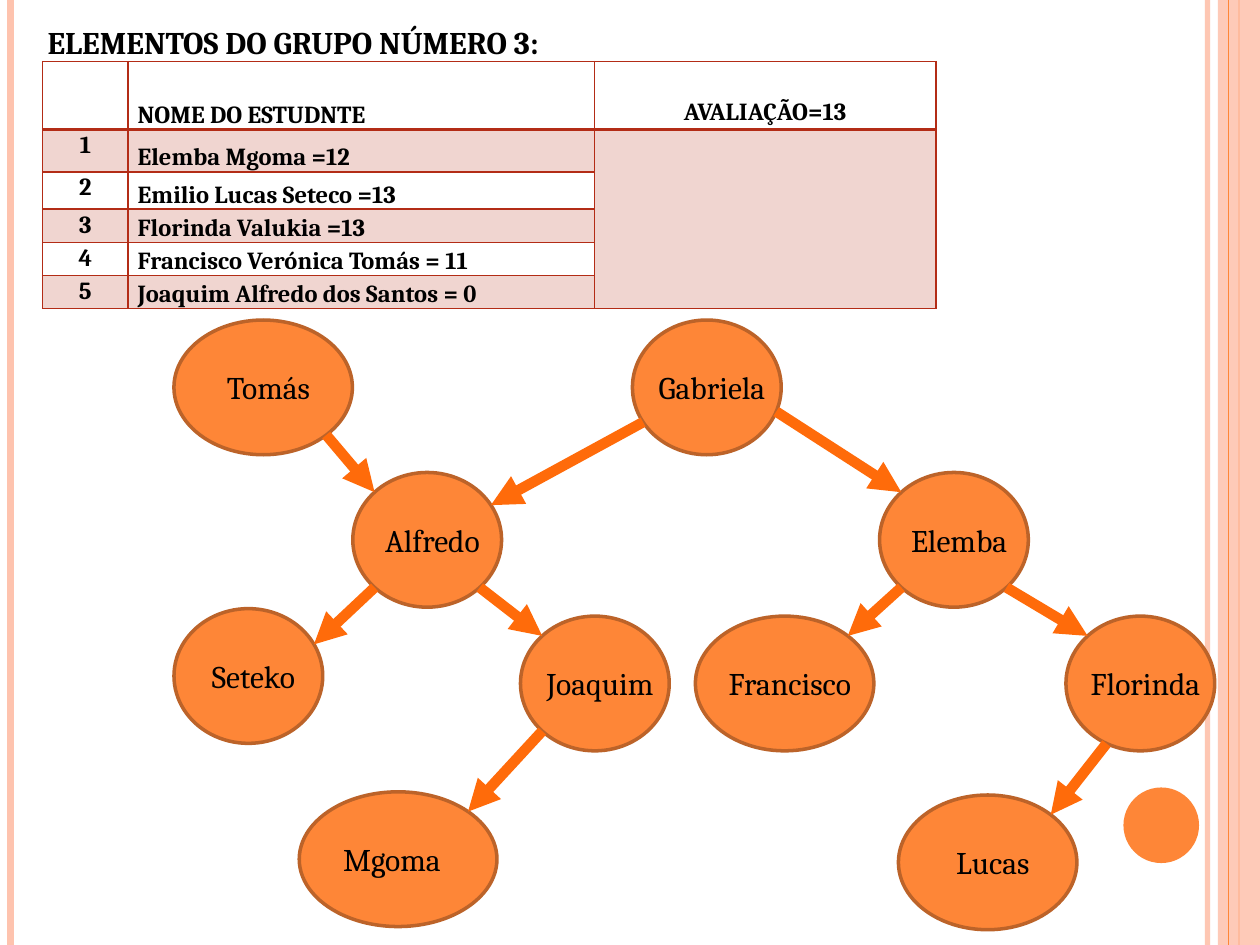
from math import cos, radians, sin

from lxml import etree
from pptx import Presentation
from pptx.dml.color import RGBColor
from pptx.enum.shapes import MSO_CONNECTOR, MSO_SHAPE
from pptx.enum.text import MSO_ANCHOR, PP_ALIGN
from pptx.oxml.ns import qn
from pptx.util import Pt

STRAIGHT, OVAL, RECT = MSO_CONNECTOR.STRAIGHT, MSO_SHAPE.OVAL, MSO_SHAPE.RECTANGLE
TOP, MIDDLE, BOTTOM = MSO_ANCHOR.TOP, MSO_ANCHOR.MIDDLE, MSO_ANCHOR.BOTTOM
LEFT, CENTER, JUSTIFY = PP_ALIGN.LEFT, PP_ALIGN.CENTER, PP_ALIGN.JUSTIFY

FONT = "Cambria"
BLACK, ORANGE, PEACH = "000000", "FE8637", "FEC3AE"
OUTLINE, ARROW, RED, PINK = "BC6329", "FF6B0A", "B32C16", "F0D5D0"

TITLE = "ELEMENTOS DO GRUPO NÚMERO 3:"
HEADER = ("NOME DO ESTUDNTE", "AVALIAÇÃO=13")
STUDENTS = [
    "Elemba Mgoma =12",
    "Emilio Lucas Seteco =13",
    "Florinda Valukia =13",
    "Francisco Verónica Tomás = 11",
    "Joaquim Alfredo dos Santos = 0",
]
COLUMN_WIDTHS = (49, 266.5, 195)
ROW_HEIGHTS = (38.9, 24.2, 21.3, 18.9, 18.9, 18.9)

NARROW, WIDE, NODE_HEIGHT = 85, 102, 77
# name: left, top, width of the ellipse, shift of the label's centre
PEOPLE = {
    "Tomás": (99.4, 182.9, WIDE, 3),
    "Alfredo": (201.6, 270, NARROW, 3),
    "Seteko": (99.4, 347.8, NARROW, 3),
    "Joaquim": (297.4, 352.1, NARROW, 3),
    "Gabriela": (361.4, 182.9, NARROW, 3),
    "Elemba": (502.6, 270, NARROW, 3),
    "Florinda": (609.1, 352.1, NARROW, 3),
    "Francisco": (397.4, 352.1, WIDE, 3),
    "Lucas": (513.4, 454.3, WIDE, 3),
    "Mgoma": (171, 452.5, 113, -3.5),
}
# from, angle on its ellipse, to, angle on its ellipse (clockwise from the right)
LINKS = [
    ("Tomás", 45, "Alfredo", -135),
    ("Alfredo", 135, "Seteko", -28),
    ("Alfredo", 45, "Joaquim", -135),
    ("Gabriela", 149, "Alfredo", -31),
    ("Gabriela", 21, "Elemba", -135),
    ("Elemba", 45, "Florinda", -135),
    ("Elemba", 135, "Francisco", -45),
    ("Florinda", 117, "Lucas", -45),
    ("Joaquim", 135, "Mgoma", -45),
]


def rgb(color):
    return RGBColor.from_string(color)


def set_alpha(fill_parent, percent):
    color = fill_parent.find(".//" + qn("a:srgbClr"))
    etree.SubElement(color, qn("a:alpha"), val=str(percent * 1000))


def add_line(shapes, start, end, color, width):
    line = shapes.add_connector(STRAIGHT, *map(Pt, start + end))
    line.line.color.rgb = rgb(color)
    line.line.width = Pt(width)
    etree.SubElement(line._element.spPr, qn("a:effectLst"))
    return line


def add_filled(shapes, kind, left, top, width, height, color):
    shape = shapes.add_shape(kind, Pt(left), Pt(top), Pt(width), Pt(height))
    shape.shadow.inherit = False
    shape.fill.solid()
    shape.fill.fore_color.rgb = rgb(color)
    shape.line.fill.background()
    return shape


def write(frame, text, size, align, bold=False):
    paragraph = frame.paragraphs[0]
    paragraph.text = text
    paragraph.alignment = align
    font = paragraph.font
    font.name, font.size, font.bold = FONT, Pt(size), bold
    font.color.rgb = rgb(BLACK)
    return paragraph


def add_frame_decor(shapes):
    def vertical(x, color, width):
        return add_line(shapes, (x, 0), (x, 540), color, width)

    set_alpha(vertical(690, PEACH, 3).line._ln, 93)
    vertical(6, PEACH, 4.5)
    vertical(708, ORANGE, 1.5)
    band = add_filled(shapes, RECT, 696, 0, 24, 540, PEACH)
    set_alpha(band._element.spPr, 87)
    vertical(702, ORANGE, 0.75)
    add_filled(shapes, OVAL, 642, 450, 43.2, 43.2, ORANGE)


def add_title(slide):
    title = slide.shapes.title
    title.left, title.top, title.width, title.height = Pt(20), Pt(9.5), Pt(590), Pt(29)
    title.text_frame.vertical_anchor = MIDDLE
    write(title.text_frame, TITLE, 18, JUSTIFY, bold=True)


def add_borders(cell, **widths):
    properties = cell._tc.get_or_add_tcPr()
    for side in "LRTB":
        line = etree.SubElement(properties, qn("a:ln" + side),
                                w=str(Pt(widths.get(side, 1))))
        fill = etree.SubElement(line, qn("a:solidFill"))
        etree.SubElement(fill, qn("a:srgbClr"), val=RED)


def add_grades(shapes):
    rows = [("", *HEADER)]
    rows += [(str(number), name, "") for number, name in enumerate(STUDENTS, 1)]
    table = shapes.add_table(len(rows), len(COLUMN_WIDTHS), Pt(24.3), Pt(35.2),
                             Pt(sum(COLUMN_WIDTHS)), Pt(sum(ROW_HEIGHTS))).table
    table.first_row = table.horz_banding = False
    for column, width in zip(table.columns, COLUMN_WIDTHS):
        column.width = Pt(width)
    for r, row in enumerate(rows):
        table.rows[r].height = Pt(ROW_HEIGHTS[r])
        for c, text in enumerate(row):
            cell = table.cell(r, c)
            cell.margin_left = cell.margin_right = Pt(5.4)
            cell.margin_top = cell.margin_bottom = 0
            cell.vertical_anchor = TOP if c == 0 else BOTTOM
            align = LEFT if c == 1 else CENTER
            write(cell.text_frame, text, 14, align, bold=True).line_spacing = 1.07
            add_borders(cell, **({"B": 2} if r == 0 else {"T": 2} if r == 1 else {}))
            if r % 2 or (r and c == 2):
                cell.fill.solid()
                cell.fill.fore_color.rgb = rgb(PINK)
            else:
                cell.fill.background()
    table.cell(0, 2).margin_bottom = Pt(2)
    table.cell(1, 2).merge(table.cell(len(rows) - 1, 2))


def add_person(shapes, name):
    left, top, width, shift = PEOPLE[name]
    group = shapes.add_group_shape().shapes
    oval = add_filled(group, OVAL, left, top, width, NODE_HEIGHT, ORANGE)
    oval.line.color.rgb = rgb(OUTLINE)
    oval.line.width = Pt(2)
    label_width = width + 6
    label = group.add_textbox(Pt(left + shift - 3), Pt(top + 24), Pt(label_width), Pt(29))
    label.text_frame.word_wrap = True
    write(label.text_frame, name, 18, CENTER)


def rim_point(name, angle):
    left, top, width, _ = PEOPLE[name]
    return (left + width / 2 * (1 + cos(radians(angle))),
            top + NODE_HEIGHT / 2 * (1 + sin(radians(angle))))


def add_link(shapes, parent, exit_angle, child, entry_angle):
    arrow = add_line(shapes, rim_point(parent, exit_angle),
                     rim_point(child, entry_angle), ARROW, 6)
    etree.SubElement(arrow.line._ln, qn("a:tailEnd"), type="triangle")


def main():
    deck = Presentation()
    deck.slide_width, deck.slide_height = Pt(720), Pt(540)
    slide = deck.slides.add_slide(deck.slide_layouts[5])
    add_frame_decor(slide.shapes)
    add_title(slide)
    add_grades(slide.shapes)
    for name in PEOPLE:
        add_person(slide.shapes, name)
    for link in LINKS:
        add_link(slide.shapes, *link)
    deck.save("out.pptx")


if __name__ == "__main__":
    main()
